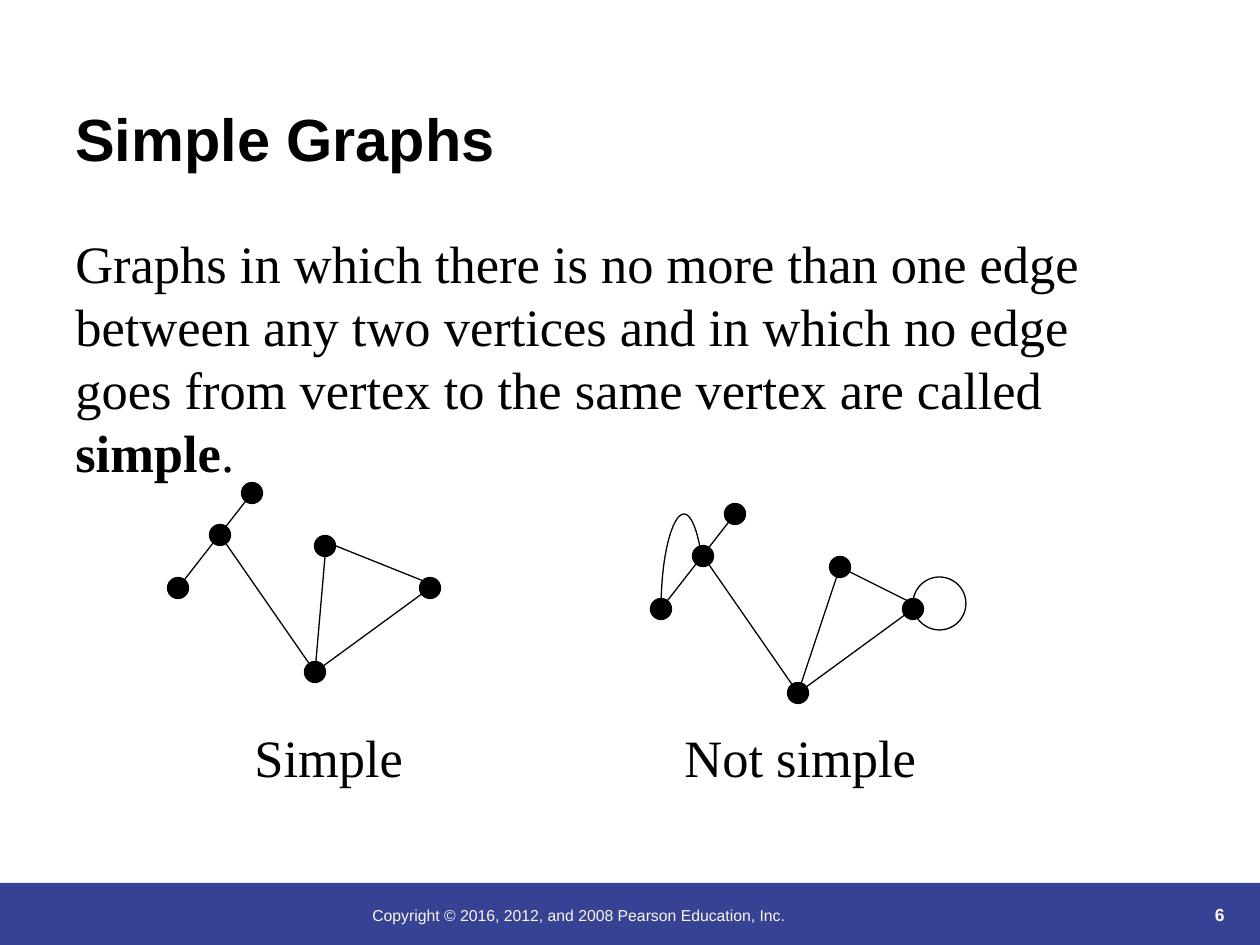
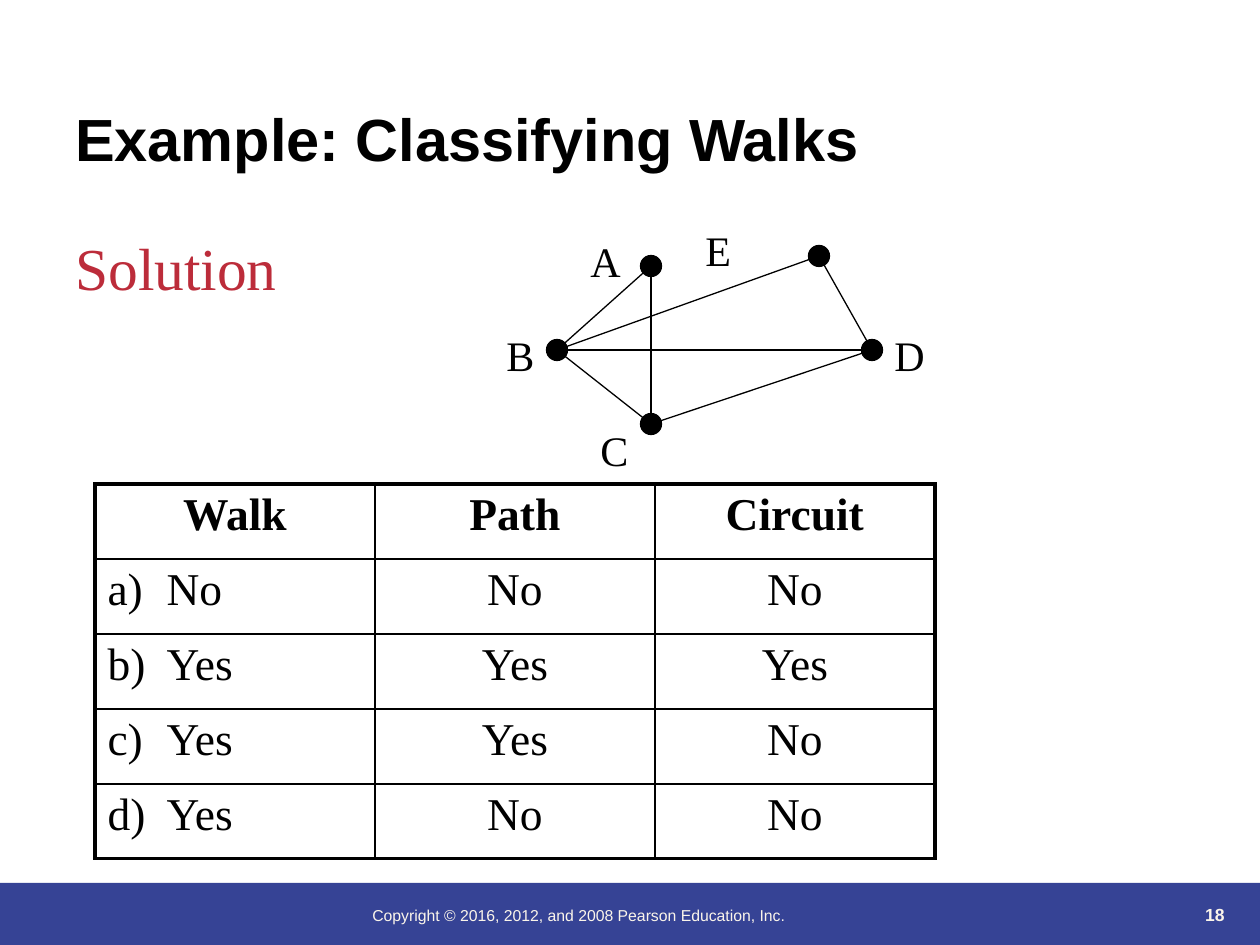
from dataclasses import dataclass

from lxml.etree import SubElement
from pptx import Presentation
from pptx.dml.color import RGBColor as Rgb
from pptx.enum.shapes import MSO_CONNECTOR as Connector, MSO_SHAPE as Shape
from pptx.enum.text import MSO_ANCHOR as Anchor, PP_ALIGN as Align
from pptx.oxml.ns import qn
from pptx.util import Emu, Pt

EMU_PER_PX = 914400 / 126
SLIDE_W, SLIDE_H = 1260, 945


@dataclass(frozen=True)
class Theme:
    ink: Rgb = Rgb.from_string("000000")
    band: Rgb = Rgb.from_string("364395")
    footer: Rgb = Rgb.from_string("FBF5EA")
    accent: Rgb = Rgb.from_string("BC2C3A")
    sans: str = "Arial"
    serif: str = "Times New Roman"
    title_size: int = 34
    body_size: int = 30
    cell_size: int = 26
    label_size: int = 24
    number_size: int = 10
    copyright_size: int = 9
    hairline: float = 0.75
    inner_border: float = 1
    outer_border: float = 2.25
    vertex: int = 21


THEME = Theme()

TITLE = dict(name=THEME.sans, size=Pt(THEME.title_size), bold=True)
COPYRIGHT = dict(name=THEME.sans, size=Pt(THEME.copyright_size))
NUMBER = dict(name=THEME.sans, size=Pt(THEME.number_size), bold=True)
BODY = dict(name=THEME.serif, size=Pt(THEME.body_size))
SOLUTION = dict(name=THEME.serif, size=Pt(THEME.title_size))
LABEL = dict(name=THEME.serif, size=Pt(THEME.label_size))
CELL = dict(name=THEME.serif, size=Pt(THEME.cell_size), bold=False)
HEADING = CELL | dict(bold=True)

SIMPLE_POINTS = {
    "left": (178, 588), "top": (252, 493), "hub": (220, 535),
    "bottom": (315, 672), "peak": (325, 546), "right": (430, 588),
    "peak base": (325, 557), "peak side": (336, 546), "right side": (441, 588),
}
SIMPLE_VERTICES = ["left", "top", "hub", "bottom", "peak", "right"]
SIMPLE_EDGES = [
    ("top", "left"), ("hub", "bottom"), ("bottom", "peak base"),
    ("peak side", "right side"), ("right", "bottom"),
]
NOT_SIMPLE_SHIFT = (483, 21)

WALK_POINTS = {
    "A": (651, 266), "B": (557, 350), "C": (651, 424),
    "D": (872, 350), "E": (819, 256),
}
WALK_EDGES = ["BC", "BA", "ED", "BE", "CA", "BD", "CD"]
WALK_LABELS = {
    "A": (578, 224), "B": (494, 319), "C": (588, 413),
    "D": (882, 319), "E": (693, 214),
}
WALK_TABLE = [
    ("Walk", "Path", "Circuit"),
    ("a)\tNo", "No", "No"),
    ("b)\tYes", "Yes", "Yes"),
    ("c)\tYes", "Yes", "No"),
    ("d)\tYes", "No", "No"),
]


def px(length):
    return Emu(round(length * EMU_PER_PX))


def box(*lengths):
    return [px(length) for length in lengths]


def apply(target, formats):
    for attribute, value in formats.items():
        setattr(target, attribute, value)


def write(paragraph, text, style, color=THEME.ink):
    run = paragraph.add_run()
    run.text = text
    apply(run.font, style)
    run.font.color.rgb = color


def add_text(slide, area, runs, color=THEME.ink, align=Align.LEFT, leading=None, **frame_format):
    frame = slide.shapes.add_textbox(*box(*area)).text_frame
    apply(frame, dict(word_wrap=True) | frame_format)
    paragraph = frame.paragraphs[0]
    apply(paragraph, dict(alignment=align, line_spacing=leading))
    for text, style in runs:
        write(paragraph, text, style, color)


def add_prose(slide, area, runs, color=THEME.ink):
    leading = Pt(runs[0][1]["size"].pt * 1.2)
    add_text(slide, area, runs, color, leading=leading, margin_top=px(11))


def outline(shape):
    shape.line.color.rgb = THEME.ink
    shape.line.width = Pt(THEME.hairline)


def add_circle(slide, left, top, size, filled):
    circle = slide.shapes.add_shape(Shape.OVAL, *box(left, top, size, size))
    circle.shadow.inherit = False
    if filled:
        circle.fill.solid()
        circle.fill.fore_color.rgb = THEME.ink
    else:
        circle.fill.background()
    outline(circle)


def add_edge(slide, start, end):
    edge = slide.shapes.add_connector(Connector.STRAIGHT, *box(*start, *end))
    outline(edge)
    SubElement(edge._element.spPr, qn("a:effectLst"))


def add_graph(slide, points, vertices, edges):
    for start, end in edges:
        add_edge(slide, points[start], points[end])
    for name in vertices:
        x, y = points[name]
        add_circle(slide, x - THEME.vertex / 2, y - THEME.vertex / 2, THEME.vertex, True)


def bezier(controls, steps=16):
    for step in range(1, steps + 1):
        t = step / steps
        weights = ((1 - t) ** 3, 3 * t * (1 - t) ** 2, 3 * t * t * (1 - t), t ** 3)
        yield tuple(px(sum(w * c for w, c in zip(weights, axis))) for axis in zip(*controls))


def add_curve(slide, *pieces):
    builder = slide.shapes.build_freeform(*box(*pieces[0][0]))
    for controls in pieces:
        builder.add_line_segments(list(bezier(controls)), close=False)
    curve = builder.convert_to_shape()
    curve.shadow.inherit = False
    curve.fill.background()
    outline(curve)


def add_border(cell, side, width):
    border = SubElement(cell._tc.get_or_add_tcPr(), qn(f"a:ln{side}"), w=str(Pt(width)))
    fill = SubElement(border, qn("a:solidFill"))
    SubElement(fill, qn("a:srgbClr"), val=str(THEME.ink))


def add_tab_stop(paragraph, position):
    stops = SubElement(paragraph._p.get_or_add_pPr(), qn("a:tabLst"))
    SubElement(stops, qn("a:tab"), pos=str(px(position)), algn="l")


def add_walk_table(slide, left, top, column_width, row_height, rows):
    row_count, column_count = len(rows), len(rows[0])
    area = box(left, top, column_width * column_count, row_height * row_count)
    table = slide.shapes.add_table(row_count, column_count, *area).table
    apply(table, dict(first_row=False, horz_banding=False))
    for column in table.columns:
        column.width = px(column_width)
    for r, answers in enumerate(rows):
        table.rows[r].height = px(row_height)
        for c, answer in enumerate(answers):
            cell = table.cell(r, c)
            on_edge = dict(L=c == 0, R=c == column_count - 1, T=r == 0, B=r == row_count - 1)
            for side, outer in on_edge.items():
                add_border(cell, side, THEME.outer_border if outer else THEME.inner_border)
            cell.fill.background()
            paragraph = cell.text_frame.paragraphs[0]
            if "\t" in answer:
                add_tab_stop(paragraph, 59)
            else:
                paragraph.alignment = Align.CENTER
            write(paragraph, answer, CELL if r else HEADING)


def add_page(deck, title, number):
    slide = deck.slides.add_slide(deck.slide_layouts[6])
    band = slide.shapes.add_shape(Shape.RECTANGLE, *box(0, 883, SLIDE_W, SLIDE_H - 883))
    band.shadow.inherit = False
    band.fill.solid()
    band.fill.fore_color.rgb = THEME.band
    band.line.fill.background()
    copyright_line = "Copyright © 2016, 2012, and 2008 Pearson Education, Inc."
    add_text(slide, (360, 900, 620, 63), [(copyright_line, COPYRIGHT)], THEME.footer)
    add_text(slide, (1121, 868, 116, 63), [(str(number), NUMBER)], THEME.footer,
             Align.RIGHT, vertical_anchor=Anchor.BOTTOM)
    add_text(slide, (63, 23, 1134, 157), [(title, TITLE)], vertical_anchor=Anchor.BOTTOM)
    return slide


def add_simple_graphs(deck):
    slide = add_page(deck, "Simple Graphs", 6)
    definition = ("Graphs in which there is no more than one edge between any two vertices "
                  "and in which no edge goes from vertex to the same vertex are called ")
    add_prose(slide, (63, 220, 1061, 265),
              [(definition, BODY), ("simple", BODY | dict(bold=True)), (".", BODY)])
    add_graph(slide, SIMPLE_POINTS, SIMPLE_VERTICES, SIMPLE_EDGES)

    dx, dy = NOT_SIMPLE_SHIFT
    shifted = {name: (x + dx, y + dy) for name, (x, y) in SIMPLE_POINTS.items()}
    shifted |= dict.fromkeys(["peak", "peak base", "peak side"], (840, 567))
    add_graph(slide, shifted, SIMPLE_VERTICES, SIMPLE_EDGES)
    add_curve(slide,
              [(703, 566), (699, 534), (692, 514), (684, 514)],
              [(684, 514), (672, 514), (661, 557), (661, 609)])
    add_circle(slide, 913, 577, 53, False)

    for caption, left in (("Simple", 242), ("Not simple", 672)):
        add_prose(slide, (left, 714, 315, 76), [(caption, BODY)])


def add_classifying_walks(deck):
    slide = add_page(deck, "Example: Classifying Walks", 18)
    add_graph(slide, WALK_POINTS, WALK_POINTS, WALK_EDGES)
    for letter, corner in WALK_LABELS.items():
        add_prose(slide, (*corner, 84, 63), [(letter, LABEL)])
    add_walk_table(slide, 95, 484, 280, 75, WALK_TABLE)
    add_prose(slide, (63, 220, 305, 84), [("Solution", SOLUTION)], THEME.accent)


def main():
    deck = Presentation()
    apply(deck, dict(slide_width=px(SLIDE_W), slide_height=px(SLIDE_H)))
    add_simple_graphs(deck)
    add_classifying_walks(deck)
    deck.save("out.pptx")


if __name__ == "__main__":
    main()
